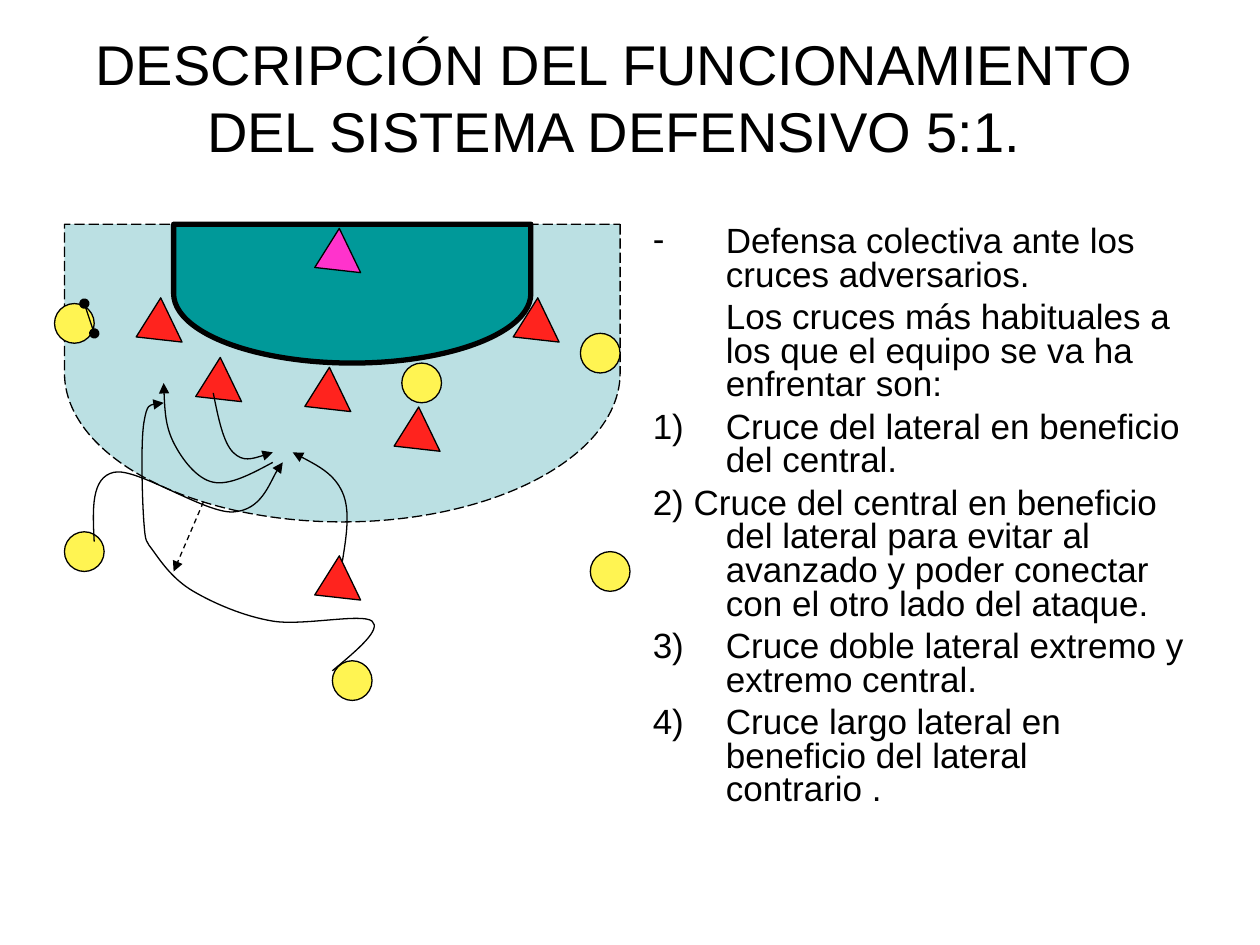
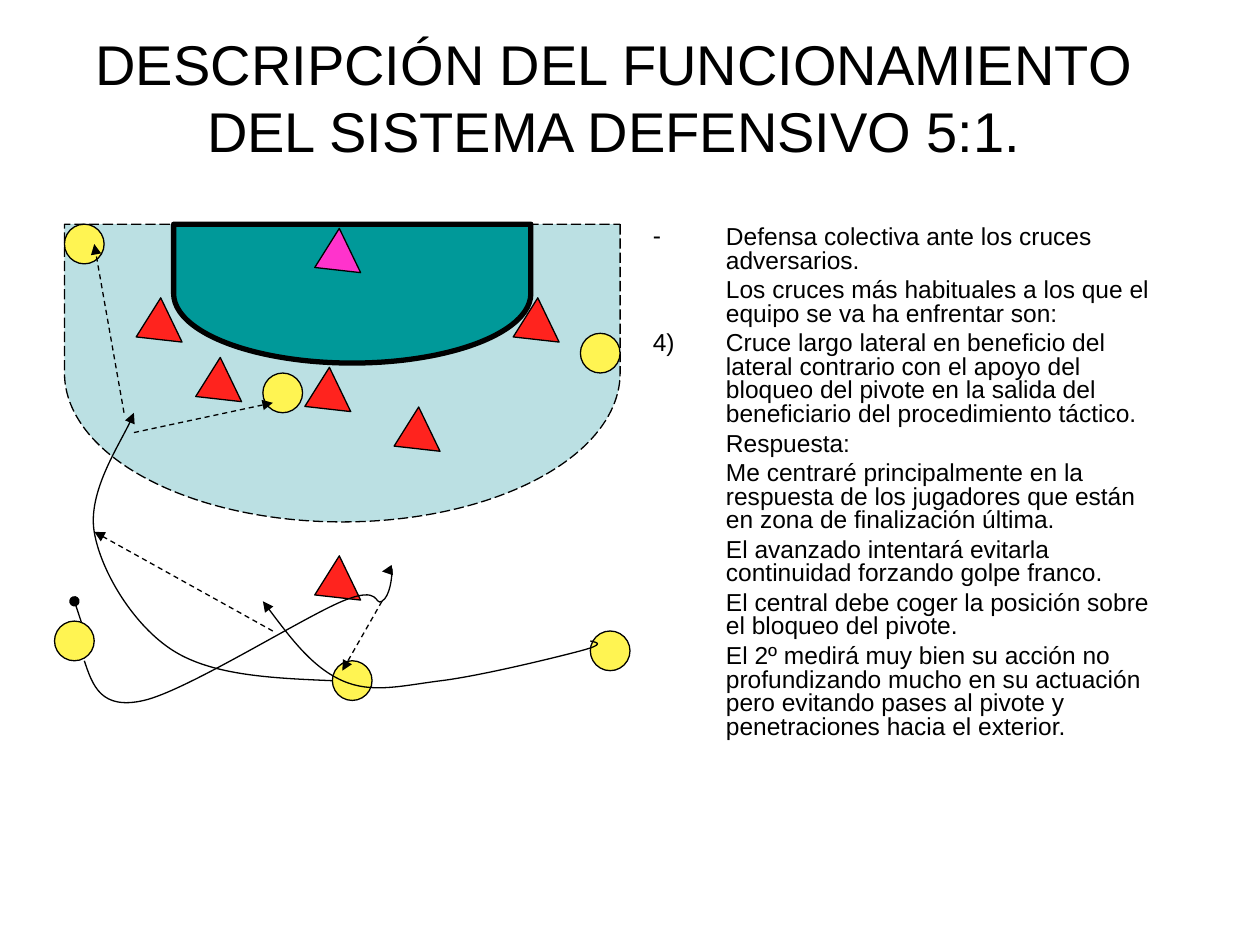
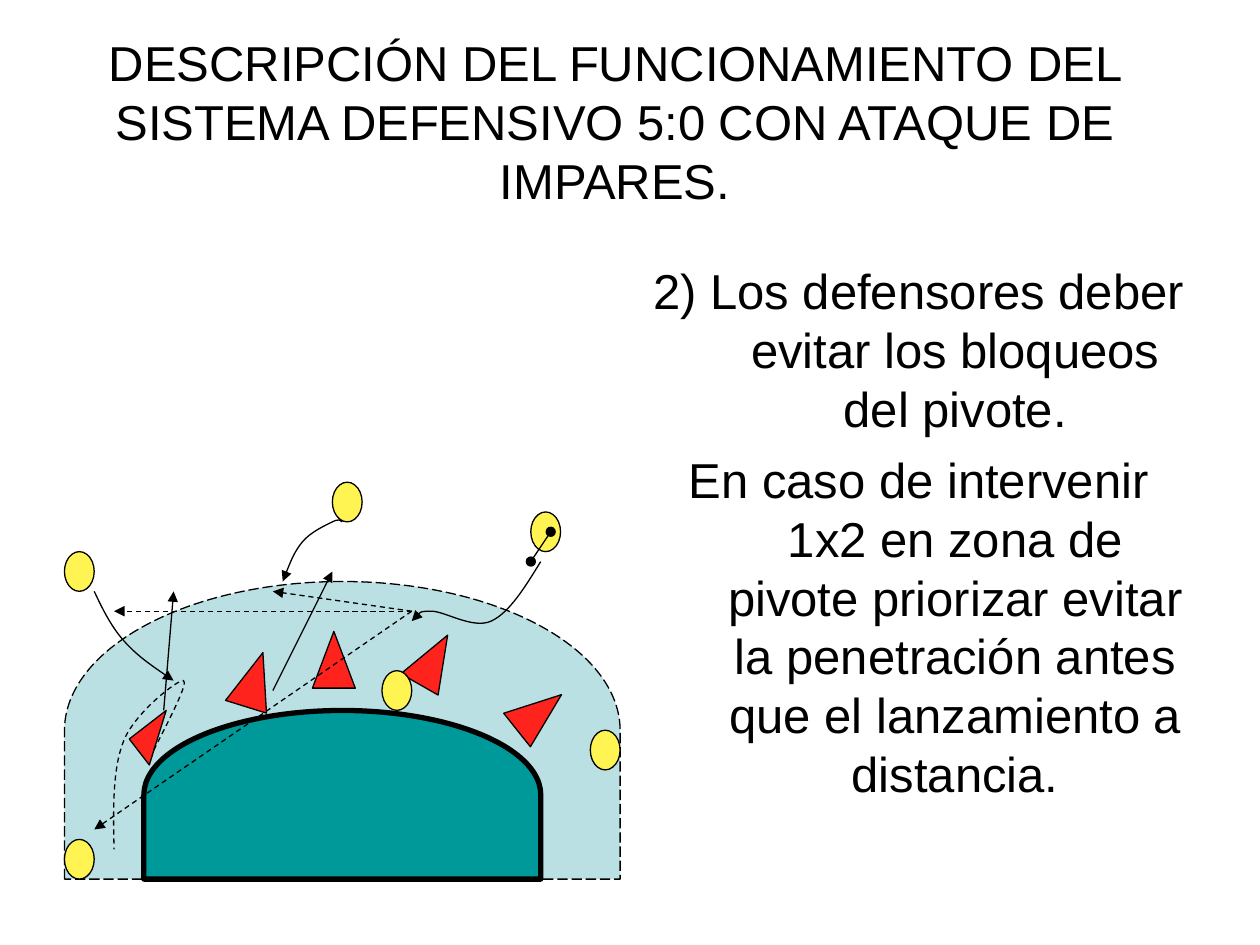
from lxml import etree
from pptx import Presentation
from pptx import util as u
from pptx.dml.color import RGBColor
from pptx.enum import dml, shapes, text
from pptx.oxml.ns import qn

Pt = u.Pt
PRESET = shapes.MSO_SHAPE
DASH = dml.MSO_LINE.DASH
C = {"ink": "000000", "court": "BBE0E3", "goal": "009999",
     "defender": "FF231E", "attacker": "FFF452", "keeper": "FF33CC"}
TITLE = "DESCRIPCIÓN DEL FUNCIONAMIENTO DEL SISTEMA DEFENSIVO 5:1."
CROSSES = [("-", "Defensa colectiva ante los cruces adversarios."),
           (None, "\tLos cruces más habituales a los que el equipo se va ha enfrentar son:")]
HANGING = 41.8
BODY_LEFT = 365.8

GRID = 5.67
COURT_LEFT, COURT_TOP = 36.85, 128.13
COURT_DEPTH, COURT_WIDTH = 30, 56
COURT_MIDDLE = COURT_WIDTH / 2
CIRCLE, OVAL = (4, 4), (3, 4)
TRIANGLE, TURN = (4.95, 3.94), 244.3
TALL_TRIANGLE, SMALL_TRIANGLE = (4.32, 5.72), (3.3, 4.7)

KEEPER = (27, 3.5)
DEFENDERS = {"left wing": (9, 10.5), "left back": (15, 16.5), "centre": (26, 17.5),
             "advanced": (27, 36.5), "right back": (35, 21.5), "right wing": (47, 10.5)}
RIGHT_WING, PLAYMAKER = (54, 13), (29, 46)


def rgb(name):
    """Return the named colour."""
    return RGBColor.from_string(C[name])


def apply(obj, values):
    """Set each attribute of obj from a dict."""
    for name, value in values.items():
        setattr(obj, name, value)


def on_court(spot):
    """Turn a column and row counted from the court corner into lengths."""
    col, row = spot
    return Pt(COURT_LEFT + col * GRID), Pt(COURT_TOP + row * GRID)


def style_line(sp, width=0.75, dash=None, head=None, tail=None):
    """Give a shape a black line with optional dashes and ends."""
    apply(sp.line, {"width": Pt(width), "dash_style": dash})
    sp.line.color.rgb = rgb("ink")
    ln = sp.element.spPr.find(qn("a:ln"))
    for tag, kind in (("a:headEnd", head), ("a:tailEnd", tail)):
        if kind:
            etree.SubElement(ln, qn(tag), type=kind)


def add_preset(s, kind, centre, size, color, rotation=0, **line):
    """Add a filled preset shape around a court spot, sized in grid steps."""
    corner = on_court([c - length / 2 for c, length in zip(centre, size)])
    sp = s.shapes.add_shape(kind, *corner, *[Pt(length * GRID) for length in size])
    sp.rotation = rotation
    sp.shadow.inherit = False
    sp.fill.solid()
    sp.fill.fore_color.rgb = rgb(color)
    style_line(sp, **line)
    return sp


def add_court(s, row, goal_centre, goal_size, rotation):
    """Add the playing zone, centred on a row, and the goal area."""
    add_preset(s, PRESET.FLOWCHART_DELAY, (COURT_MIDDLE, row), (COURT_DEPTH, COURT_WIDTH),
               "court", rotation, dash=dml.MSO_LINE.LONG_DASH)
    add_preset(s, PRESET.FLOWCHART_DELAY, goal_centre, goal_size, "goal", rotation, width=3)


def add_upper_court(s):
    """Add the court with its goal at the top."""
    add_court(s, COURT_DEPTH / 2, (29, 7), (14, 36), 90)


def add_attackers(s, spots, size=CIRCLE):
    """Add a circle for each attacker."""
    for spot in spots:
        add_preset(s, PRESET.OVAL, spot, size, "attacker")


def add_triangle(s, spot, color="defender", size=TRIANGLE, rotation=TURN):
    """Add a triangle for a defending player."""
    return add_preset(s, PRESET.ISOSCELES_TRIANGLE, spot, size, color, rotation)


def add_team(s):
    """Add the defenders and the goalkeeper of the 5:1 system."""
    for spot in DEFENDERS.values():
        add_triangle(s, spot)
    add_triangle(s, KEEPER, "keeper")


def add_line(s, start, end, **line):
    """Add a straight connector between two court spots."""
    sp = s.shapes.add_connector(shapes.MSO_CONNECTOR.STRAIGHT,
                                *on_court(start), *on_court(end))
    style_line(sp, **line)
    etree.SubElement(sp.element.spPr, qn("a:effectLst"))


def add_feint(s, start, end):
    """Add a line with a dot at both ends."""
    add_line(s, start, end, head="oval", tail="oval")


def add_pass(s, start, end):
    """Add a dashed arrow."""
    add_line(s, start, end, dash=DASH, tail="triangle")


def midpoint(a, b):
    """Return the point halfway between two points."""
    return tuple((m + n) / 2 for m, n in zip(a, b))


def shifted(point, start, end, share):
    """Move a point by a share of the way from start to end."""
    return tuple(c + (e - b) * share for c, b, e in zip(point, start, end))


def smooth(stops, settle):
    """Return the Bézier points of a Catmull-Rom curve through the stops."""
    last = len(stops) - 1
    points = [stops[0]]
    for i in range(last):
        here, there = stops[i], stops[i + 1]
        leave = shifted(here, stops[i - 1], there, 1 / 6) if i else None
        if i + 1 < last:
            arrive = shifted(there, here, stops[i + 2], -1 / 6)
        elif settle:
            arrive = shifted(there, here, there, -1 / 6)
        else:
            arrive = midpoint(leave, there)
        points += [leave or midpoint(here, arrive), arrive, there]
    return points


def add_move(s, *stops, settle=False, dash=None, tail="triangle"):
    """Add a smooth arrow through court spots, optionally straight at its end."""
    start, *others = map(on_court, smooth(stops, settle))
    builder = s.shapes.build_freeform(*start)
    builder.add_line_segments(others, close=False)
    sp = builder.convert_to_shape()
    sp.shadow.inherit = False
    sp.fill.background()
    style_line(sp, dash=dash, tail=tail)
    steps = list(sp.element.iter(qn("a:lnTo")))
    for i in range(0, len(steps), 3):
        curve = etree.Element(qn("a:cubicBezTo"))
        steps[i].addprevious(curve)
        for step in steps[i:i + 3]:
            curve.append(step[0])
            step.getparent().remove(step)


def set_bullet(p, bullet):
    """Set a dash, a number to start at, or no bullet, on a hanging indent."""
    pPr = p._p.get_or_add_pPr()
    pPr.set("marL", str(Pt(HANGING)))
    pPr.set("indent", str(-Pt(HANGING)))
    if bullet is None:
        etree.SubElement(pPr, qn("a:buNone"))
        return
    etree.SubElement(etree.SubElement(pPr, qn("a:buClr")), qn("a:srgbClr"), val=C["ink"])
    etree.SubElement(pPr, qn("a:buFont"), typeface="Arial")
    if bullet == "-":
        etree.SubElement(pPr, qn("a:buChar"), char=bullet)
    else:
        etree.SubElement(pPr, qn("a:buAutoNum"), type="arabicParenR", startAt=str(bullet))


def add_run(p, words, size):
    """Add black Arial text to a paragraph."""
    r = p.add_run()
    r.text = words
    apply(r.font, {"name": "Arial", "size": Pt(size)})
    r.font.color.rgb = rgb("ink")


def set_frame(sp, box, anchor):
    """Place a text placeholder and fix its frame."""
    apply(sp, dict(zip(("left", "top", "width", "height"), map(Pt, box))))
    apply(sp.text_frame, {
        "word_wrap": True, "auto_size": text.MSO_AUTO_SIZE.NONE,
        "vertical_anchor": anchor, "margin_left": Pt(7.2), "margin_right": Pt(7.2),
        "margin_top": Pt(3.6), "margin_bottom": Pt(3.6)})
    return sp.text_frame


def add_title(s, words=TITLE, size=32, box=(36, 21.6, 630, 67)):
    """Fill the title placeholder."""
    p = set_frame(s.shapes.title, box, text.MSO_ANCHOR.MIDDLE).paragraphs[0]
    p.alignment = text.PP_ALIGN.CENTER
    add_run(p, words, size)


def add_body(s, items, size, top=126, width=318.2, spacing=0.8, align=text.PP_ALIGN.LEFT):
    """Fill the body placeholder from pairs of bullet and text."""
    tf = set_frame(s.placeholders[1], (BODY_LEFT, top, width, 356), text.MSO_ANCHOR.TOP)
    for i, (bullet, words) in enumerate(items):
        p = tf.add_paragraph() if i else tf.paragraphs[0]
        apply(p, {"alignment": align, "line_spacing": spacing,
                  "space_before": Pt(size / 4 if i else 0)})
        set_bullet(p, bullet)
        add_run(p, words, size)


def new_slide(prs):
    """Add a slide with a title and a body."""
    return prs.slides.add_slide(prs.slide_layouts[1])


def crossings_slide(prs):
    """Build the slide on the usual crossings."""
    s = new_slide(prs)
    add_title(s)
    add_body(s, CROSSES + [
        (None, "1)\tCruce del lateral en beneficio del central."),
        (None, "2) Cruce del central en beneficio del lateral para evitar al "
               "avanzado y poder conectar con el otro lado del ataque."),
        (3, "Cruce doble lateral extremo y extremo central."),
        (3, "Cruce largo lateral en beneficio del lateral contrario ."),
    ], 20)
    add_upper_court(s)
    left_wing, left_back, pivot, right_back = (1, 10), (2, 33), (36, 16), (55, 35)
    add_attackers(s, [left_wing, left_back, pivot, RIGHT_WING, right_back, PLAYMAKER])
    add_feint(s, (2, 8), (3, 11))
    add_team(s)
    add_move(s, (3, 32), (5, 25), (17, 29), (22, 24), settle=True)
    add_move(s, (15, 17), (17, 23), (21, 23))
    add_move(s, (28, 34), (28, 27), (23, 23))
    add_move(s, (27, 45), (31, 40), (21, 40), (13, 37), (9, 33), (8, 30), (8, 20), (10, 18))
    add_move(s, (21, 24), (15, 26), (11, 22), (10, 16))
    add_pass(s, (14, 28), (11, 35))


def long_crossing_slide(prs):
    """Build the slide on the long crossing and its answer."""
    s = new_slide(prs)
    add_title(s)
    add_body(s, CROSSES + [
        (4, "Cruce largo lateral en beneficio del lateral contrario con el apoyo del "
            "bloqueo del pivote en la salida del beneficiario del procedimiento táctico."),
        (None, "\tRespuesta:"),
        (None, "\tMe centraré principalmente en la respuesta de los jugadores que "
               "están en zona de finalización última."),
        (None, "\tEl avanzado intentará evitarla continuidad forzando golpe franco."),
        (None, "\tEl central debe coger la posición sobre el bloqueo del pivote."),
        (None, "\tEl 2º medirá muy bien su acción no profundizando mucho en su actuación "
               "pero evitando pases al pivote y penetraciones hacia el exterior."),
    ], 14, width=300.2)
    add_upper_court(s)
    left_wing, left_back, pivot, right_back = (2, 2), (1, 42), (22, 17), (55, 43)
    add_feint(s, (1, 38), (2, 41))
    add_attackers(s, [left_wing, left_back, pivot, RIGHT_WING, right_back, PLAYMAKER])
    add_team(s)
    crossing, receiving = (32, 38), (3, 31)
    add_move(s, (2, 44), (8, 48), (28, 38), crossing, (33, 35), (32, 35), settle=True)
    add_move(s, (53, 42), (52, 43), (38, 46), (28, 46), (20, 38))
    add_move(s, (27, 46), (11, 43), receiving, (7, 19), settle=True)
    add_pass(s, crossing, (28, 45))
    add_pass(s, (21, 41), receiving)
    add_pass(s, (7, 21), (21, 18))
    add_pass(s, (6, 19), (3, 2))


def odd_attack_slide(prs):
    """Build the slide on the 5:0 system."""
    s = new_slide(prs)
    add_title(s, "DESCRIPCIÓN DEL FUNCIONAMIENTO DEL SISTEMA DEFENSIVO 5:0 "
                 "CON ATAQUE DE IMPARES.", 28, (36.7, 21.6, 629.3, 95))
    add_body(s, [
        (None, "2) Los defensores deber evitar los bloqueos del pivote."),
        (None, "En caso de intervenir 1x2 en zona de pivote priorizar evitar la "
               "penetración antes que el lanzamiento a distancia."),
    ], 28, top=145.4, spacing=1.0, align=text.PP_ALIGN.CENTER)
    add_court(s, 51, (COURT_MIDDLE, 57.5), (17, 40), 270)
    for spot, turn in (((37.2, 43.9), 29.8), ((47.85, 49.2), 51.5),
                       ((27.15, 43.9), 0), ((19.15, 45.9), 17.3)):
        add_triangle(s, spot, size=TALL_TRIANGLE, rotation=turn)
    wing = add_triangle(s, (9.4, 51.75), size=SMALL_TRIANGLE, rotation=52.3)
    wing.adjustments[0] = 0
    left_wing, left_back, playmaker = (1.5, 64), (1.5, 35), (28.5, 28)
    right_back, right_wing, pivot = (48.5, 31), (54.5, 53), (33.5, 47)
    add_attackers(s, [left_wing, left_back, playmaker, right_back, right_wing, pivot], OVAL)
    add_feint(s, (47, 34), (49, 31))
    add_move(s, (48, 34), (43, 40), (37, 39), (35, 40))
    add_move(s, (28, 30), (27, 30), (24, 32), (22, 36))
    add_move(s, (3, 37), (6, 42), (11, 46))
    for target in ((21, 37), (5, 39), (3, 61)):
        add_pass(s, (35, 39), target)
    for start, end in (((21, 47), (27, 35)), ((10, 49), (11, 37))):
        add_line(s, start, end, tail="triangle")
    add_move(s, (9, 53), (12, 46), (6, 52), (5, 63), dash=DASH, tail=None)


def main():
    """Build and save the presentation."""
    prs = Presentation()
    apply(prs, {"slide_width": Pt(720), "slide_height": Pt(540)})
    crossings_slide(prs)
    long_crossing_slide(prs)
    odd_attack_slide(prs)
    prs.save("out.pptx")


if __name__ == "__main__":
    main()
